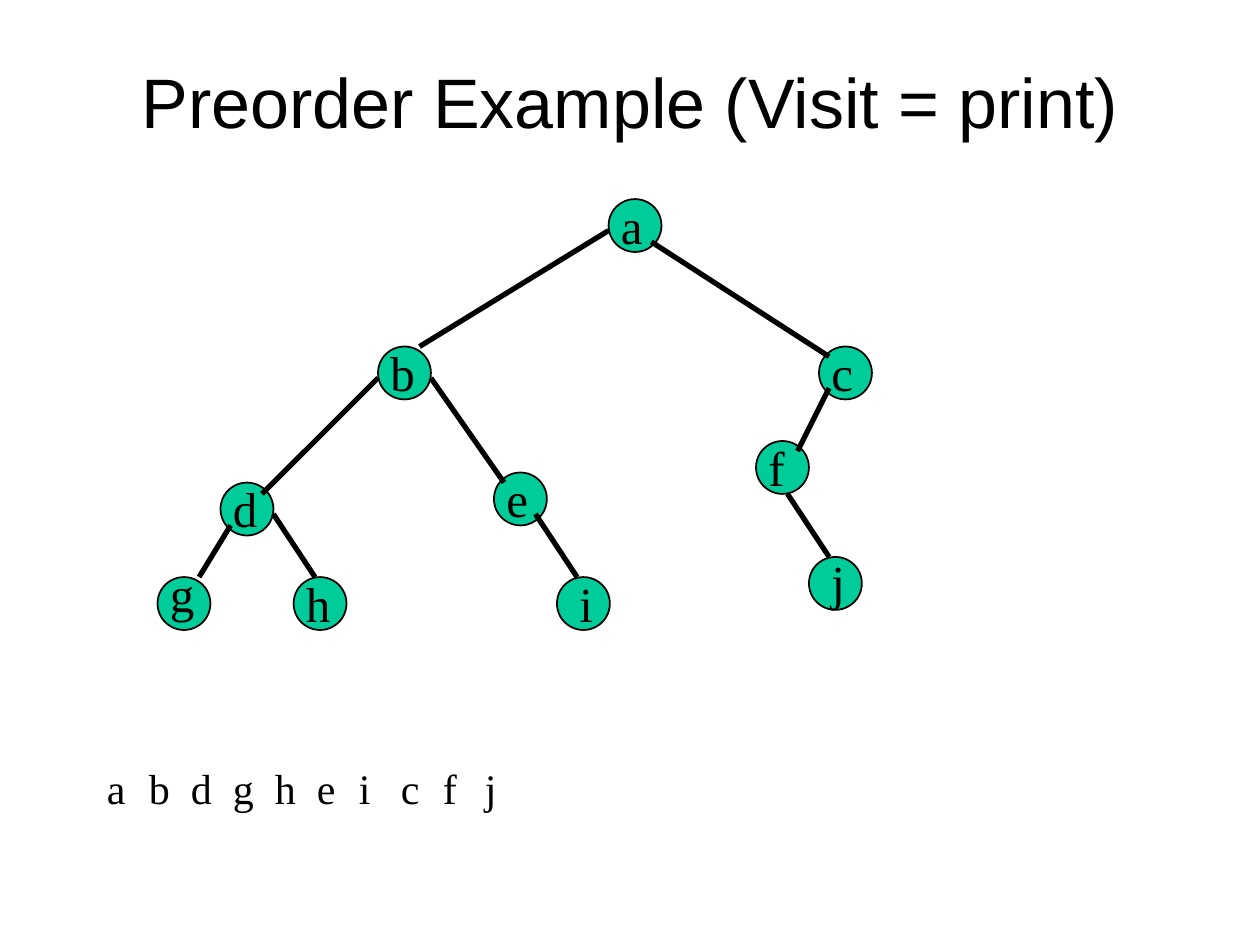
from lxml.etree import SubElement
from pptx import Presentation
from pptx.dml.color import RGBColor
from pptx.enum.shapes import MSO_CONNECTOR, MSO_SHAPE
from pptx.enum.text import MSO_ANCHOR, MSO_AUTO_SIZE, PP_ALIGN
from pptx.oxml.ns import qn
from pptx.util import Inches, Pt

# Content
TITLE = "Preorder Example (Visit = print)"
# node: (circle left, circle top), (label left, label top)
NODES = {
    "a": ((4.83, 1.58), (4.83, 1.5)),
    "b": ((3, 2.75), (3, 2.67)),
    "c": ((6.5, 2.75), (6.5, 2.67)),
    "d": ((1.75, 3.83), (1.75, 3.75)),
    "e": ((3.92, 3.75), (3.92, 3.67)),
    "f": ((6, 3.5), (6, 3.42)),
    "g": ((1.25, 4.58), (1.25, 4.42)),
    "h": ((2.33, 4.58), (2.33, 4.5)),
    "i": ((4.42, 4.58), (4.5, 4.5)),
    "j": ((6.42, 4.42), (6.5, 4.33)),
}
# parent end, child end
EDGES = [
    ((4.83, 1.83), (3.33, 2.75)),  # a-b
    ((5.17, 1.92), (6.58, 2.83)),  # a-c
    ((3, 3), (2.08, 3.92)),        # b-d
    ((3.42, 3), (4, 3.83)),        # b-e
    ((6.58, 3.08), (6.33, 3.58)),  # c-f
    ((1.83, 4.17), (1.58, 4.58)),  # d-g
    ((2.17, 4.08), (2.5, 4.58)),   # d-h
    ((4.25, 4.08), (4.58, 4.58)),  # e-i
    ((6.25, 3.92), (6.58, 4.42)),  # f-j
]
PREORDER = "abdgheicfj"

COLORS = {"node": "00CC99", "ink": "000000", "page": "FFFFFF"}
DIAMETER = 0.42
OUTPUT_LEFT, OUTPUT_TOP, OUTPUT_STEP = 0.75, 6, 1 / 3


def color(name):
    return RGBColor.from_string(COLORS[name])


def set_font(paragraph, name, size):
    paragraph.font.name = name
    paragraph.font.size = Pt(size)
    paragraph.font.color.rgb = color("ink")


def add_letter(page, letter, left, top, width, height, size):
    box = page.shapes.add_textbox(*map(Inches, (left, top, width, height)))
    frame = box.text_frame
    frame.word_wrap = True
    frame.auto_size = MSO_AUTO_SIZE.SHAPE_TO_FIT_TEXT
    frame.text = letter
    set_font(frame.paragraphs[0], "Times New Roman", size)


def add_node(page, left, top):
    circle = page.shapes.add_shape(
        MSO_SHAPE.OVAL, *map(Inches, (left, top, DIAMETER, DIAMETER)))
    circle.shadow.inherit = False
    circle.fill.solid()
    circle.fill.fore_color.rgb = color("node")
    circle.line.color.rgb = color("ink")
    circle.line.width = Pt(1)


def add_edge(page, start, end):
    edge = page.shapes.add_connector(
        MSO_CONNECTOR.STRAIGHT, *map(Inches, start + end))
    edge.line.color.rgb = color("ink")
    edge.line.width = Pt(3)
    SubElement(edge._element.spPr, qn("a:effectLst"))


def main():
    deck = Presentation()
    deck.slide_width, deck.slide_height = Inches(10), Inches(7.5)
    page = deck.slides.add_slide(deck.slide_layouts[5])
    page.background.fill.solid()
    page.background.fill.fore_color.rgb = color("page")

    # Title
    title = page.shapes.title
    title.left, title.top = Inches(0.75), Inches(0.17)
    title.width, title.height = Inches(8.5), Inches(1.25)
    title.text_frame.text = TITLE
    title.text_frame.vertical_anchor = MSO_ANCHOR.MIDDLE
    heading = title.text_frame.paragraphs[0]
    heading.alignment = PP_ALIGN.CENTER
    set_font(heading, "Arial", 40)

    # Tree: circles, then edges, then labels on top
    for circle_at, _ in NODES.values():
        add_node(page, *circle_at)
    for start, end in EDGES:
        add_edge(page, start, end)
    for letter, (_, label_at) in NODES.items():
        add_letter(page, letter, *label_at, 0.83, 0.57, 28)

    # Printed output
    for index, letter in enumerate(PREORDER):
        left = OUTPUT_LEFT + index * OUTPUT_STEP
        add_letter(page, letter, left, OUTPUT_TOP, 0.42, 0.5, 24)

    deck.save("out.pptx")


if __name__ == "__main__":
    main()
